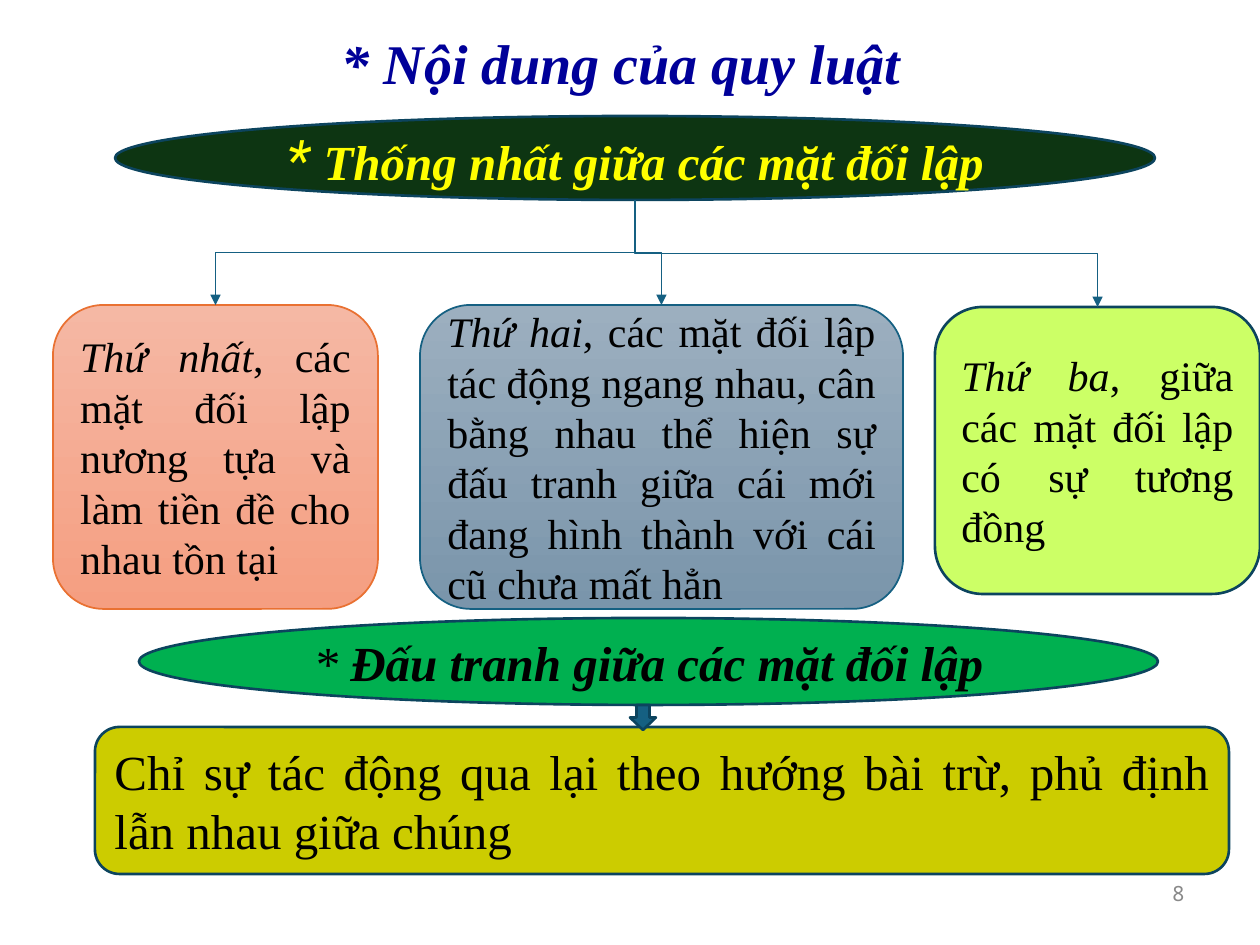
from lxml import etree
from pptx import Presentation
from pptx.dml.color import RGBColor
from pptx.enum.shapes import MSO_CONNECTOR, MSO_SHAPE
from pptx.enum.text import MSO_ANCHOR, PP_ALIGN
from pptx.oxml.ns import qn
from pptx.util import Emu, Pt

ELLIPSE = MSO_SHAPE.OVAL
ROUNDED = MSO_SHAPE.ROUNDED_RECTANGLE
DOWN_ARROW = MSO_SHAPE.DOWN_ARROW
ELBOW = MSO_CONNECTOR.ELBOW
MIDDLE = MSO_ANCHOR.MIDDLE
LEFT, CENTER, RIGHT, JUSTIFY = PP_ALIGN.LEFT, PP_ALIGN.CENTER, PP_ALIGN.RIGHT, PP_ALIGN.JUSTIFY

NAVY = RGBColor(0x00, 0x00, 0x99)
GREY = RGBColor(0x89, 0x89, 0x89)
YELLOW = RGBColor(0xFF, 0xFF, 0x00)
BLACK = RGBColor(0x00, 0x00, 0x00)
DARK_GREEN = RGBColor(0x0D, 0x35, 0x12)
GREEN = RGBColor(0x00, 0xB0, 0x50)
LIME = RGBColor(0xCC, 0xFF, 0x66)
OLIVE = RGBColor(0xCC, 0xCC, 0x00)
TEAL = RGBColor(0x15, 0x60, 0x82)
DARK_TEAL = RGBColor(0x0C, 0x44, 0x5E)
ORANGE = RGBColor(0xE9, 0x71, 0x32)
PEACH = RGBColor(0xF5, 0xB8, 0xA4)
SALMON = RGBColor(0xF5, 0x9E, 0x81)
PALE_SLATE = RGBColor(0x9C, 0xAF, 0xBF)
SLATE = RGBColor(0x7A, 0x95, 0xAB)

SERIF = "Times New Roman"
PX = 914400 / 126


def add_block(page, kind, place, fills, line_color=DARK_TEAL, line_width=1.5):
    shape = page.shapes.add_shape(kind, *[Emu(round(n * PX)) for n in place])
    shape.shadow.inherit = False
    if len(fills) == 1:
        shape.fill.solid()
        shape.fill.fore_color.rgb = fills[0]
    else:
        shape.fill.gradient()
        shape.fill.gradient_angle = 270
        for stop, color in zip(shape.fill.gradient_stops, fills):
            stop.color.rgb = color
    shape.line.color.rgb = line_color
    shape.line.width = Pt(line_width)
    return shape


def write(box, spans, size, color, align, font=SERIF):
    frame = box.text_frame
    frame.word_wrap = True
    frame.vertical_anchor = MIDDLE
    para = frame.paragraphs[0]
    para.alignment = align
    para.font.name = font
    para.font.size = Pt(size)
    para.font.color.rgb = color
    for text, bold, italic in spans:
        span = para.add_run()
        span.text = text
        span.font.bold = bold
        span.font.italic = italic
    return para


deck = Presentation()
deck.slide_width = Emu(round(1260 * PX))
deck.slide_height = Emu(round(945 * PX))
page = deck.slides.add_slide(deck.slide_layouts[5])

title = page.shapes.title
title.left, title.top, title.width, title.height = [Emu(round(n * PX)) for n in (329, 3, 654, 126)]
para = write(title, [("* Nội dung của quy luật", True, True)], 32, NAVY, LEFT)
para.line_spacing = 0.9

number = page.shapes.add_textbox(*[Emu(round(n * PX)) for n in (903, 861, 294, 65)])
write(number, [("8", False, False)], 12, GREY, RIGHT, "Noto Sans Mono")

unity = add_block(page, ELLIPSE, (115, 116, 1040, 84), [DARK_GREEN])
para = write(unity, [("* ", False, True), ("Thống nhất giữa các mặt đối lập", True, True)], 28, YELLOW, CENTER)
para.runs[0].font.name = "Roboto"
para.runs[0].font.size = Pt(32)

cards = [
    ((53, 305, 325, 304), [PEACH, SALMON], ORANGE, 1, "Thứ nhất",
     ", các mặt đối lập nương tựa và làm tiền đề cho nhau tồn tại"),
    ((420, 305, 483, 304), [PALE_SLATE, SLATE], TEAL, 1, "Thứ hai",
     ", các mặt đối lập tác động ngang nhau, cân bằng nhau thể hiện sự đấu tranh "
     "giữa cái mới đang hình thành với cái cũ chưa mất hẳn"),
    ((935, 307, 325, 287), [LIME], DARK_TEAL, 1.5, "Thứ ba",
     ", giữa các mặt đối lập có sự tương đồng"),
]
start_x = unity.left + unity.width // 2
start_y = unity.top + unity.height
for place, fills, line_color, line_width, lead, rest in cards:
    card = add_block(page, ROUNDED, place, fills, line_color, line_width)
    write(card, [(lead, False, True), (rest, False, False)], 24, BLACK, JUSTIFY)

    end_x = card.left + card.width // 2
    drop, reach = card.top - start_y, abs(end_x - start_x)
    left = (start_x + end_x - drop) // 2
    top = (start_y + card.top - reach) // 2
    link = page.shapes.add_connector(ELBOW, left, top, left + drop, top + reach)
    link.line.color.rgb = TEAL
    link.line.width = Pt(1)
    properties = link._element.spPr
    frame = properties.find(qn("a:xfrm"))
    if end_x < start_x:
        frame.set("rot", "5400000")
    else:
        frame.set("rot", "16200000")
        frame.set("flipH", "1")
    etree.SubElement(properties.find(qn("a:ln")), qn("a:tailEnd"), type="triangle")
    etree.SubElement(properties, qn("a:effectLst"))

struggle = add_block(page, ELLIPSE, (139, 618, 1019, 87), [GREEN])
write(struggle, [("* ", False, True), ("Đấu tranh giữa các mặt đối lập", True, True)], 28, BLACK, CENTER)

meaning = add_block(page, ROUNDED, (95, 727, 1134, 147), [OLIVE])
para = write(meaning, [("Chỉ sự tác động qua lại theo hướng bài trừ, phủ định lẫn nhau giữa chúng",
                        False, False)], 28, BLACK, JUSTIFY)
para.space_before = Pt(7)

add_block(page, DOWN_ARROW, (630, 705, 26, 25), [TEAL])

deck.save("out.pptx")
